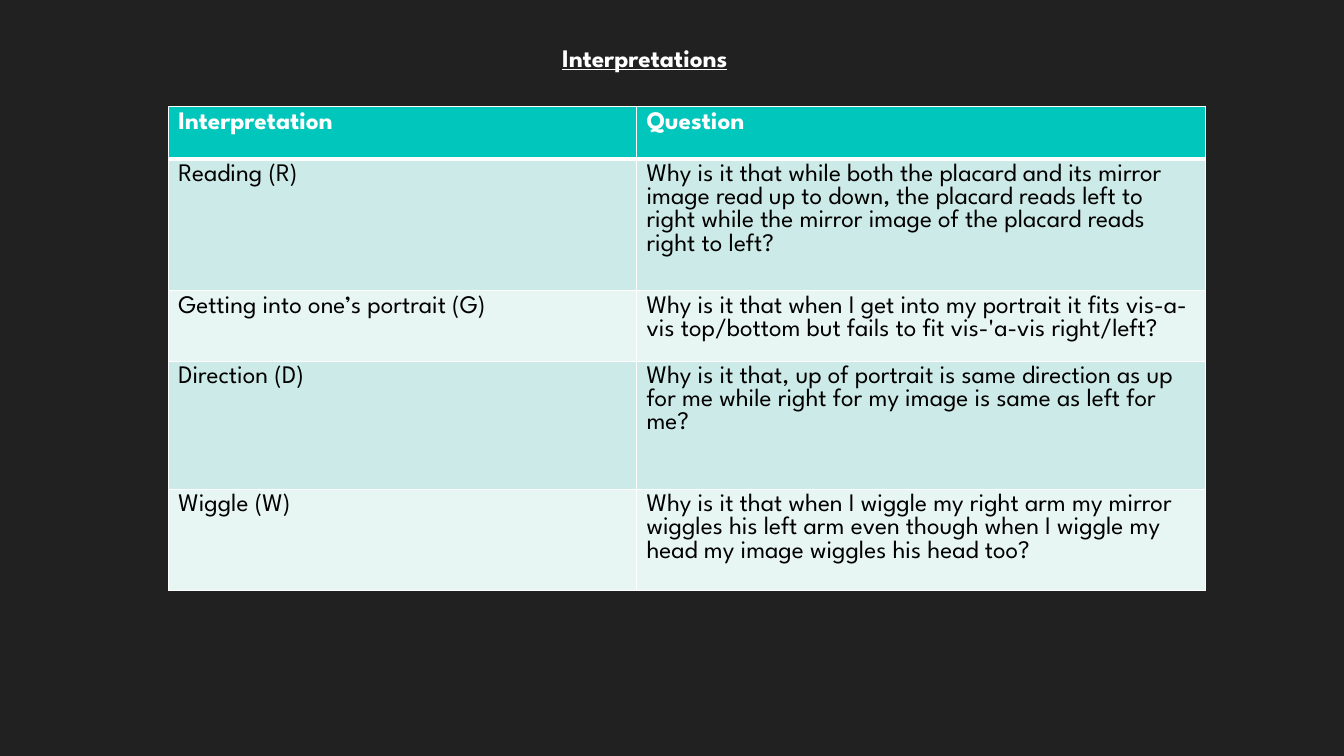
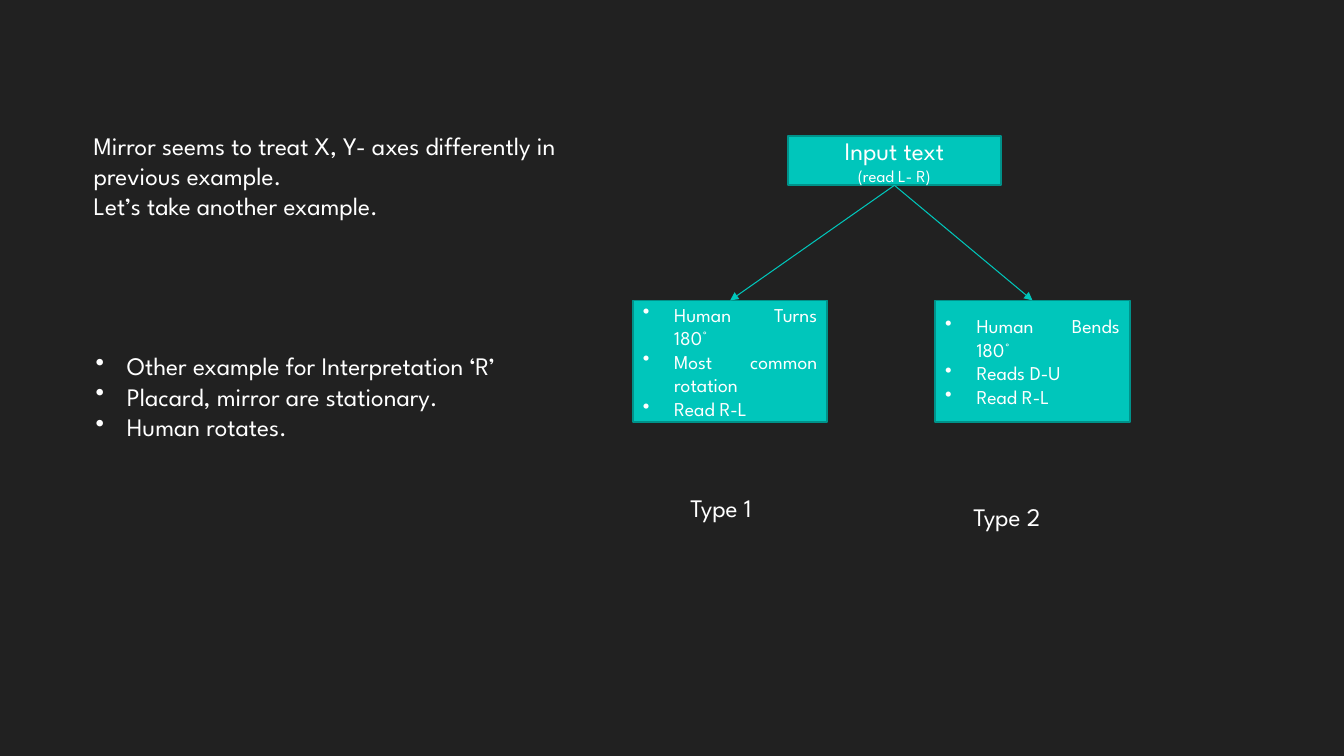
"""Build two dark slides on how a mirror image is interpreted."""
from typing import NamedTuple

from lxml import etree
from pptx import Presentation
from pptx.dml.color import RGBColor
from pptx.enum.shapes import MSO_CONNECTOR, MSO_SHAPE
from pptx.enum.text import MSO_ANCHOR, PP_ALIGN
from pptx.oxml.ns import qn
from pptx.util import Cm, Pt

RECT = MSO_SHAPE.RECTANGLE
LINE = MSO_CONNECTOR.STRAIGHT
LEFT, MID, JUST = PP_ALIGN.LEFT, PP_ALIGN.CENTER, PP_ALIGN.JUSTIFY
CENTRE = MSO_ANCHOR.MIDDLE

FONT = "League Spartan"
DARK, WHITE, BLACK = "212121", "FFFFFF", "000000"
TEAL, EDGE = "00C6BB", "00928A"
BANDS = ("CCEAE7", "E7F5F3")
INDENT = Cm(0.79)


class Para(NamedTuple):
    text: str
    size: float = 18
    color: str = WHITE
    bold: bool = False
    under: bool = False
    align: PP_ALIGN = LEFT
    bullet: bool = False


class Area(NamedTuple):
    left: float
    top: float
    width: float
    height: float

    def lengths(self):
        return [Cm(n) for n in self]


class Label(NamedTuple):
    area: Area
    paras: list[Para]


class Row(NamedTuple):
    height: float
    cells: tuple[str, str]


ROWS = [
    Row(1.32, ("Interpretation", "Question")),
    Row(3.31, ("Reading (R)",
               "Why is it that while both the placard and its mirror image read up to down, "
               "the placard reads left to right while the mirror image of the placard reads "
               "right to left?")),
    Row(1.78, ("Getting into one’s portrait (G)",
               "Why is it that when I get into my portrait it fits vis-a-vis top/bottom "
               "but fails to fit vis-'a-vis right/left?")),
    Row(3.23, ("Direction (D)",
               "Why is it that, up of portrait is same direction as up for me while right "
               "for my image is same as left for me?")),
    Row(2.54, ("Wiggle (W)",
               "Why is it that when I wiggle my right arm my mirror wiggles his left arm "
               "even though when I wiggle my head my image wiggles his head too?")),
]
WIDTHS = (11.8, 14.34)

TITLE = Label(Area(13.92, 0.94, 6.02, 1.02),
              [Para("Interpretations", bold=True, under=True)])

NOTES = [
    Label(Area(2.11, 3.15, 13.13, 2.57), [
        Para("Mirror seems to treat X, Y- axes differently in previous example."),
        Para("Let’s take another example."),
    ]),
    Label(Area(2.16, 8.71, 12.42, 2.57), [
        Para(text, bullet=True) for text in (
            "Other example for Interpretation ‘R’",
            "Placard, mirror are stationary.",
            "Human rotates.")
    ]),
    Label(Area(17.15, 12.27, 2.51, 1.02), [Para("Type 1")]),
    Label(Area(24.28, 12.52, 2.51, 1.02), [Para("Type 2")]),
]

ROOT = Label(Area(19.86, 3.43, 5.36, 1.24),
             [Para("Input text", align=MID), Para("(read L- R)", 12, align=MID)])
TURNS = [
    Label(Area(left, 7.57, 4.9, 3.07),
          [Para(text, 14, align=JUST, bullet=True) for text in texts])
    for left, texts in (
        (15.95, ("Human Turns 180°", "Most common rotation", "Read R-L")),
        (23.57, ("Human Bends 180°", "Reads D-U", "Read R-L")))
]


def tint(code: str) -> RGBColor:
    return RGBColor.from_string(code)


def paint(item, code: str) -> None:
    item.fill.solid()
    item.fill.fore_color.rgb = tint(code)


def write(frame, paras: list[Para], pitch=None) -> None:
    frame.word_wrap = True
    for num, para in enumerate(paras):
        line = frame.add_paragraph() if num else frame.paragraphs[0]
        line.alignment = para.align
        if pitch:
            line.line_spacing = Pt(pitch)
        if para.bullet:
            props = line._p.get_or_add_pPr()
            props.set("marL", str(INDENT))
            props.set("indent", str(-INDENT))
            etree.SubElement(props, qn("a:buChar"), char="•")
        run = line.add_run()
        run.text = para.text
        font = run.font
        font.name, font.size = FONT, Pt(para.size)
        font.bold, font.underline = para.bold, para.under
        font.color.rgb = tint(para.color)


def add_label(slide, label: Label) -> None:
    box = slide.shapes.add_textbox(*label.area.lengths())
    write(box.text_frame, label.paras)


def add_node(slide, label: Label):
    node = slide.shapes.add_shape(RECT, *label.area.lengths())
    node.shadow.inherit = False
    paint(node, TEAL)
    node.line.color.rgb = tint(EDGE)
    node.line.width = Pt(1.25)
    node.text_frame.vertical_anchor = CENTRE
    write(node.text_frame, label.paras)
    return node


def add_arrow(slide, start, end) -> None:
    arrow = slide.shapes.add_connector(LINE, 0, 0, 0, 0)
    arrow.begin_connect(start, 2)
    arrow.end_connect(end, 0)
    arrow.line.color.rgb = tint(TEAL)
    arrow.line.width = Pt(0.75)
    etree.SubElement(arrow.line._get_or_add_ln(), qn("a:tailEnd"), type="triangle")
    etree.SubElement(arrow._element.spPr, qn("a:effectLst"))


def add_edges(cell, top: float, base: float) -> None:
    props = cell._tc.get_or_add_tcPr()
    for spot, (side, width) in enumerate(zip("LRTB", (1, 1, top, base))):
        edge = etree.Element(qn(f"a:ln{side}"), w=str(Pt(width)))
        fill = etree.SubElement(edge, qn("a:solidFill"))
        etree.SubElement(fill, qn("a:srgbClr"), val=WHITE)
        props.insert(spot, edge)


def add_grid(slide, left: float, top: float) -> None:
    area = Area(left, top, sum(WIDTHS), sum(row.height for row in ROWS))
    grid = slide.shapes.add_table(len(ROWS), len(WIDTHS), *area.lengths()).table
    for col, width in zip(grid.columns, WIDTHS):
        col.width = Cm(width)
    for num, row in enumerate(ROWS):
        grid.rows[num].height = Cm(row.height)
        head = num == 0
        for col, text in enumerate(row.cells):
            cell = grid.cell(num, col)
            paint(cell, TEAL if head else BANDS[(num - 1) % 2])
            add_edges(cell, 3 if num == 1 else 1, 3 if head else 1)
            para = Para(text, color=WHITE if head else BLACK, bold=head)
            write(cell.text_frame, [para], pitch=16.5)


def add_slide(deck):
    slide = deck.slides.add_slide(deck.slide_layouts[6])
    paint(slide.background, DARK)
    return slide


def main() -> None:
    deck = Presentation()
    deck.slide_width, deck.slide_height = Cm(33.87), Cm(19.05)

    slide = add_slide(deck)
    add_label(slide, TITLE)
    add_grid(slide, 4.24, 2.69)

    slide = add_slide(deck)
    for note in NOTES:
        add_label(slide, note)
    root = add_node(slide, ROOT)
    for turn in TURNS:
        add_arrow(slide, root, add_node(slide, turn))

    deck.save("out.pptx")


if __name__ == "__main__":
    main()
